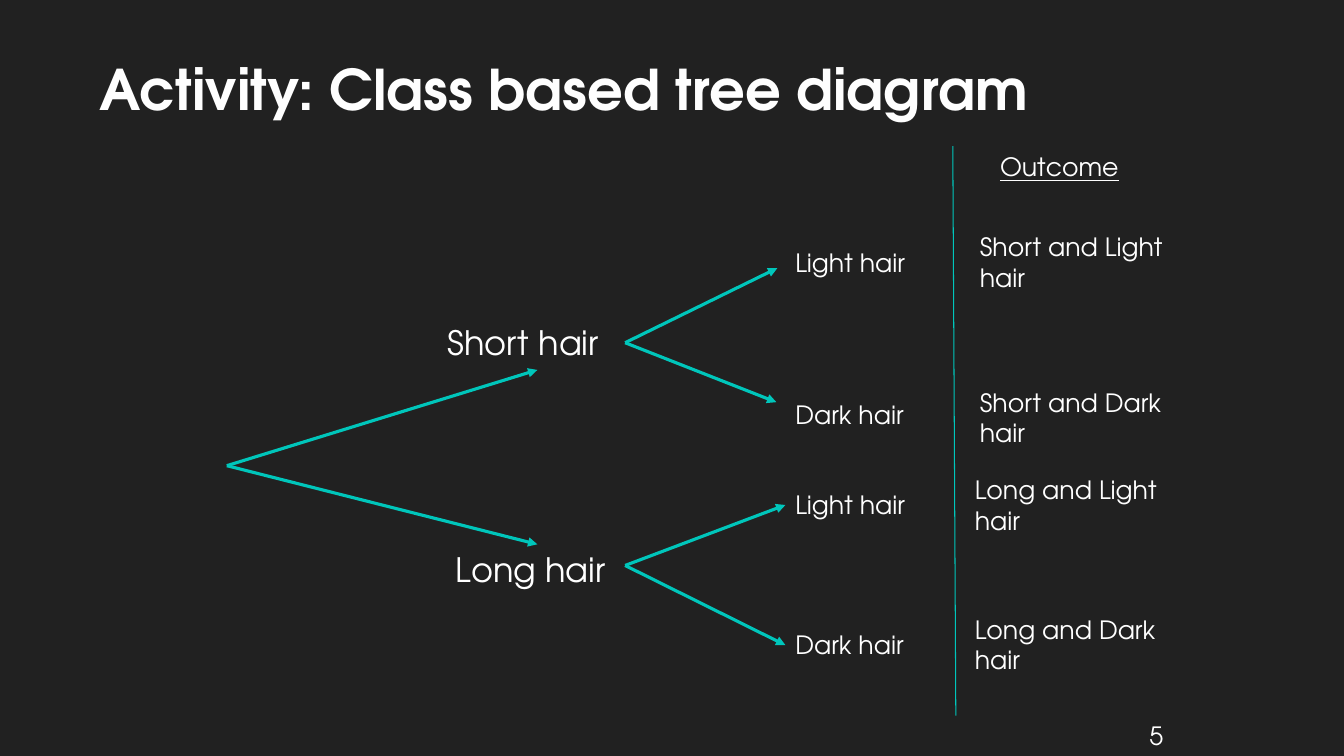
import pptx
import pptx.dml.color
import pptx.enum.shapes
import pptx.enum.text
import pptx.oxml
import pptx.util
from pptx.util import Inches

FONT = "TeX Gyre Adventor"
WHITE = "FFFFFF"
TEAL = "00C6BB"
DRAWING = "http://schemas.openxmlformats.org/drawingml/2006/main"


def colour(value):
    """Turn a hex string into a colour."""
    return pptx.dml.color.RGBColor.from_string(value)


def write(frame, text, size, hue=WHITE, **extra):
    """Fill a text frame with one formatted paragraph."""
    layout = {
        "vertical_anchor": pptx.enum.text.MSO_ANCHOR.TOP,
        "auto_size": pptx.enum.text.MSO_AUTO_SIZE.NONE,
        "word_wrap": True,
    }
    for name, value in layout.items():
        setattr(frame, name, value)
    para = frame.paragraphs[0]
    para.alignment = pptx.enum.text.PP_ALIGN.LEFT
    span = para.add_run()
    span.text = text
    formats = {"name": FONT, "size": pptx.util.Pt(size), **extra}
    for name, value in formats.items():
        setattr(span.font, name, value)
    span.font.color.rgb = colour(hue)


def add_label(page, box, text, size=18, **extra):
    """Add a text box at left, top, width, height in inches."""
    label = page.shapes.add_textbox(*map(Inches, box))
    write(label.text_frame, text, size, **extra)
    return label


def add_line(page, start, end, width=2.25, arrow=True):
    """Draw a teal line, with an arrowhead at its end if wanted."""
    line = page.shapes.add_connector(
        pptx.enum.shapes.MSO_CONNECTOR.STRAIGHT, *map(Inches, (*start, *end))
    )
    line.line.color.rgb = colour(TEAL)
    line.line.width = pptx.util.Pt(width)
    if arrow:
        head = f'<a:tailEnd xmlns:a="{DRAWING}" type="triangle"/>'
        line.line._get_or_add_ln().append(pptx.oxml.parse_xml(head))
    effects = f'<a:effectLst xmlns:a="{DRAWING}"/>'
    line._element.spPr.append(pptx.oxml.parse_xml(effects))


def add_title(page, box, text):
    """Place and format the title placeholder."""
    title = page.shapes.title
    places = zip(("left", "top", "width", "height"), map(Inches, box))
    for name, value in places:
        setattr(title, name, value)
    write(title.text_frame, text, 40, "FEFEFE", bold=True)


def add_tree(page, box):
    """Draw the two levels of branches with their labels."""
    left, top, width, height = box
    leaf_left = left + width - 1.7
    root = (left, top + 2.22)
    lengths = [
        ("Short hair", (2.09, 0.74), 1.27, 1.0,
         [("Light hair", 0, 5.46, 0.26), ("Dark hair", 1.51, 5.45, 1.59)]),
        ("Long hair", (2.17, 3.0), 3.0, 3.21,
         [("Light hair", 2.41, 5.54, 2.61), ("Dark hair", 3.79, 5.54, 4.0)]),
    ]
    for text, (across, down), tip, fork, colours in lengths:
        add_line(page, root, (left + 3.08, top + tip))
        add_label(page, (left + across, top + down, 1.79, 0.5), text, 24)
        for shade, leaf_down, tip_across, tip_down in colours:
            add_line(page, (left + 3.95, top + fork),
                     (left + tip_across, top + tip_down))
            add_label(page, (leaf_left, top + leaf_down, 1.7, 0.4), shade)


def add_outcomes(page, box):
    """Draw the divider, the heading and the list of outcomes."""
    left, top, width, height = box
    add_line(page, (left, top), (left + 0.03, top + height), 0.75, False)
    heading = add_label(page, (left + 0.37, top, 1.39, 0.4), "Outcome", underline=True)
    heading.text_frame.word_wrap = False
    outcomes = [
        ("Short and Light hair", 0.17, 0.8),
        ("Short and Dark hair", 0.17, 2.34),
        ("Long and Light hair", 0.12, 3.21),
        ("Long and Dark hair", 0.12, 4.59),
    ]
    for text, across, down in outcomes:
        add_label(page, (left + across, top + down, 2.38, 0.71), text)


def add_page_number(page, box, number):
    """Add the slide number, set in slightly from the box edge."""
    label = add_label(page, box, number)
    label.text_frame.margin_left = Inches(0.17)


def main():
    """Build and save the slide."""
    deck = pptx.Presentation()
    deck.slide_width = Inches(13.33)
    deck.slide_height = Inches(7.5)
    page = deck.slides.add_slide(deck.slide_layouts[5])
    page.background.fill.solid()
    page.background.fill.fore_color.rgb = colour("212121")
    add_title(page, (0.89, 0.49, 11.56, 1.06), "Activity: Class based tree diagram")
    add_tree(page, (2.25, 2.4, 7.24, 4.19))
    add_outcomes(page, (9.45, 1.45, 2.55, 5.65))
    add_page_number(page, (11.23, 7.1, 0.6, 0.4), "5")
    deck.save("out.pptx")


if __name__ == "__main__":
    main()
